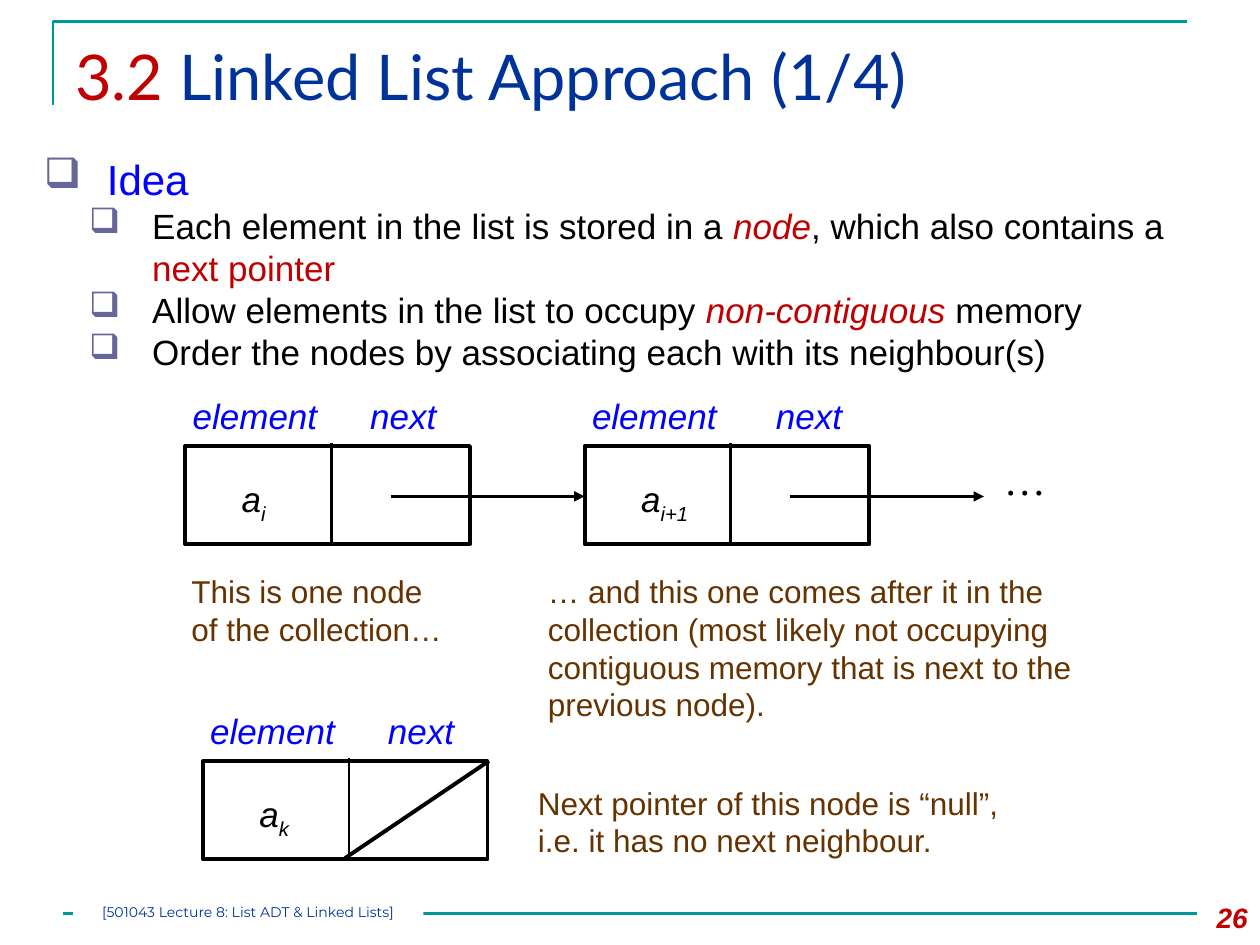
from lxml import etree
from pptx import Presentation
from pptx.dml.color import RGBColor
from pptx.enum.shapes import MSO_CONNECTOR, MSO_SHAPE
from pptx.enum.text import MSO_ANCHOR, MSO_AUTO_SIZE, PP_ALIGN
from pptx.oxml.ns import qn
from pptx.util import Inches, Pt

RECT = MSO_SHAPE.RECTANGLE
STRAIGHT = MSO_CONNECTOR.STRAIGHT
TOP = MSO_ANCHOR.TOP
GROW = MSO_AUTO_SIZE.SHAPE_TO_FIT_TEXT
LEFT, MID, RIGHT = PP_ALIGN.LEFT, PP_ALIGN.CENTER, PP_ALIGN.RIGHT

TEAL = RGBColor(0x00, 0x99, 0x99)
NAVY = RGBColor(0x00, 0x33, 0x99)
BLUE = RGBColor(0x00, 0x00, 0xFF)
RED = RGBColor(0xC0, 0x00, 0x00)
BROWN = RGBColor(0x66, 0x33, 0x00)
BLACK = RGBColor(0x00, 0x00, 0x00)
WHITE = RGBColor(0xFF, 0xFF, 0xFF)


def write(shape, paras, size, font="Arial", align=LEFT, wrap=True, grow=False):
    frame = shape.text_frame
    frame.word_wrap = wrap
    frame.vertical_anchor = TOP
    if grow:
        frame.auto_size = GROW
    for i, runs in enumerate(paras):
        para = frame.add_paragraph() if i else frame.paragraphs[0]
        para.alignment = align
        for text, color, slant in runs:
            run = para.add_run()
            run.text = text
            run.font.size = Pt(size)
            run.font.name = font
            run.font.italic = slant
            run.font.color.rgb = color
    return frame


def draw(shapes, x1, y1, x2, y2, color=BLACK, width=1.5, arrow=False):
    line = shapes.add_connector(STRAIGHT, Inches(x1), Inches(y1), Inches(x2), Inches(y2))
    line.line.color.rgb = color
    line.line.width = Pt(width)
    if arrow:
        etree.SubElement(line.line._get_or_add_ln(), qn("a:tailEnd"), type="triangle")
    etree.SubElement(line._element.spPr, qn("a:effectLst"))


deck = Presentation()
deck.slide_width = Inches(10)
deck.slide_height = Inches(7.5)
slide = deck.slides.add_slide(deck.slide_layouts[6])
shapes = slide.shapes

path = shapes.build_freeform(Inches(0.42), Inches(0.83))
path.add_line_segments([(Inches(0.42), Inches(0.17)), (Inches(9.42), Inches(0.17))], close=False)
frame = path.convert_to_shape()
frame.shadow.inherit = False
frame.fill.background()
frame.line.color.rgb = TEAL
frame.line.width = Pt(1.5)
draw(shapes, 0.5, 7.25, 9.5, 7.25, TEAL)

title = shapes.add_textbox(Inches(0.5), Inches(0.25), Inches(9), Inches(0.86))
write(title, [[("3.2 ", RED, False), ("Linked List Approach (1/4)", NAVY, False)]], 36, "Lato")

ideas = [
    [("Idea", BLUE, False)],
    [("Each element in the list is stored in a ", BLACK, False), ("node", RED, True),
     (", which also contains a ", BLACK, False), ("next pointer", RED, False)],
    [("Allow elements in the list to occupy ", BLACK, False),
     ("non-contiguous", RED, True), (" memory", BLACK, False)],
    [("Order the nodes by associating each with its neighbour(s)", BLACK, False)],
]
body = shapes.add_textbox(Inches(0.25), Inches(1.17), Inches(9.58), Inches(2))
text = write(body, ideas, 20)
text.paragraphs[0].runs[0].font.size = Pt(24)
for i, para in enumerate(text.paragraphs):
    para.level = 1 if i else 0
    props = para._p.get_or_add_pPr()
    props.set("marL", str(Inches(0.86 if i else 0.5)))
    props.set("indent", str(-Inches(0.5)))
    tint = etree.SubElement(props, qn("a:buClr"))
    etree.SubElement(tint, qn("a:srgbClr"), val="666699")
    etree.SubElement(props, qn("a:buChar"), char="❑")

page = shapes.add_textbox(Inches(9.33), Inches(7.1), Inches(0.67), Inches(0.4))
text = write(page, [[("26", RED, True)]], 16, align=RIGHT)
text.paragraphs[0].runs[0].font.bold = True

nodes = [
    (1.47, 3.54, "i", 0.39, 1.37, True),
    (4.64, 3.54, "i+1", 0.6, 1.42, True),
    (1.61, 6.04, "k", 0.45, 1.37, False),
]
for x, y, index, wide, gap, link in nodes:
    group = shapes.add_group_shape().shapes
    box = group.add_shape(RECT, Inches(x), Inches(y), Inches(2.26), Inches(0.78))
    box.shadow.inherit = False
    box.fill.background()
    box.line.color.rgb = BLACK
    box.line.width = Pt(2.25)
    draw(group, x + 1.16, y - 0.02, x + 1.16, y + 0.77)
    labels = [
        (x - 0.04, y - 0.46, 1.19, [("element", BLUE, True)]),
        (x + gap, y - 0.46, 0.73, [("next", BLUE, True)]),
        (x + 0.35, y + 0.2, wide, [("a", BLACK, True), (index, BLACK, True)]),
    ]
    for left, top, width, runs in labels:
        label = group.add_textbox(Inches(left), Inches(top), Inches(width), Inches(0.43))
        text = write(label, [runs], 20, wrap=False, grow=True)
    text.paragraphs[0].runs[1].font._element.set("baseline", "-25000")
    if link:
        draw(group, x + 1.63, y + 0.4, x + 3.17, y + 0.4, arrow=True)
    else:
        draw(group, x + 2.27, y, x + 1.13, y + 0.77, width=2.25)

dots = shapes.add_textbox(Inches(7.87), Inches(3.55), Inches(0.53), Inches(0.5))
write(dots, [[("…", BLACK, False)]], 24, "Times New Roman", wrap=False, grow=True)

notes = [
    (1.42, 4.49, 2.21, 0.71, False, ["This is one node", "of the collection…"]),
    (4.25, 4.49, 5.17, 1.31, True,
     ["… and this one comes after it in the collection (most likely not occupying "
      "contiguous memory that is next to the previous node)."]),
    (4.17, 6.17, 3.92, 0.71, True,
     ["Next pointer of this node is “null”, i.e. it has no next neighbour."]),
]
for x, y, w, h, wrap, words in notes:
    note = shapes.add_shape(RECT, Inches(x), Inches(y), Inches(w), Inches(h))
    note.shadow.inherit = False
    note.fill.solid()
    note.fill.fore_color.rgb = WHITE
    color = note._element.spPr.find(".//" + qn("a:srgbClr"))
    etree.SubElement(color, qn("a:alpha"), val="80000")
    note.line.fill.background()
    write(note, [[(part, BROWN, False)] for part in words], 18, wrap=wrap, grow=True)

foot = shapes.add_shape(RECT, Inches(0.58), Inches(7.17), Inches(2.78), Inches(0.2))
foot.shadow.inherit = False
foot.fill.solid()
foot.fill.fore_color.rgb = WHITE
foot.line.fill.background()
text = write(foot, [[("[501043 Lecture 8: List ADT & Linked Lists]", NAVY, False)]],
             8, "Montserrat", MID)
text.margin_left = text.margin_right = text.margin_top = text.margin_bottom = 0

deck.save("out.pptx")
